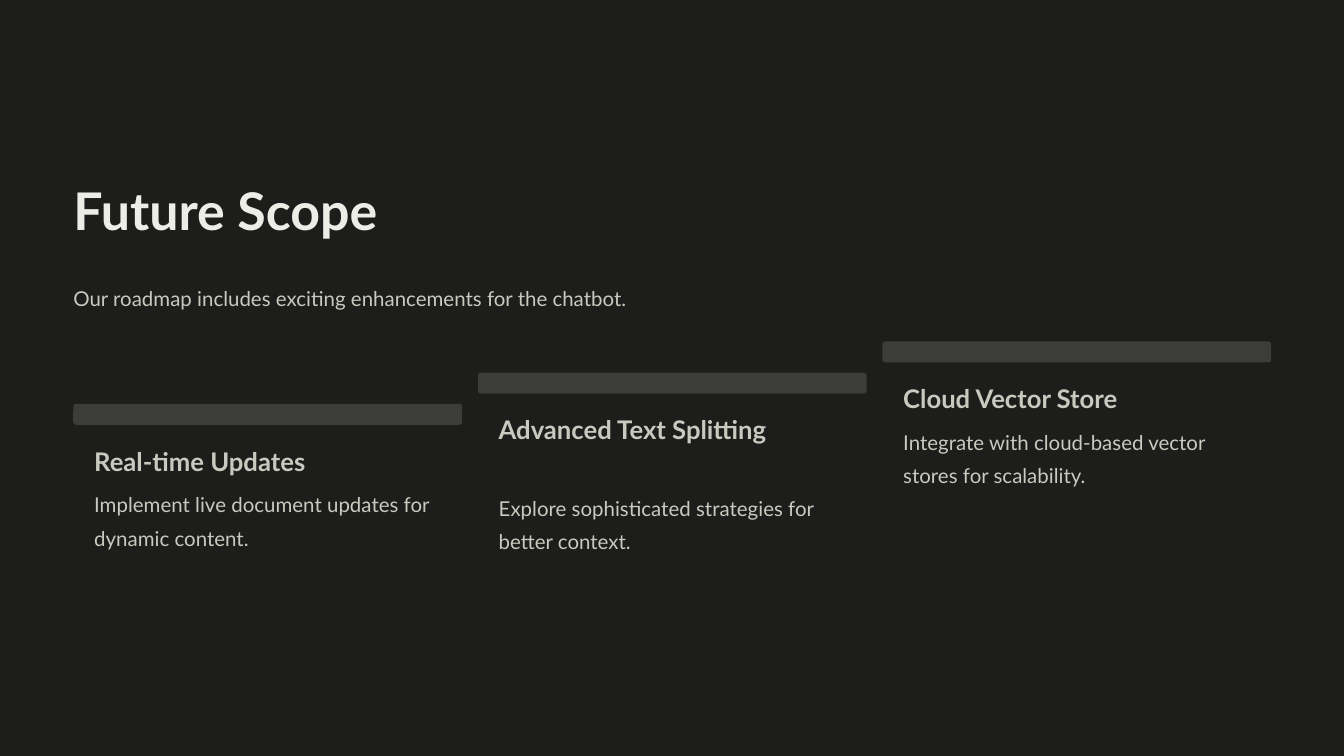
from pptx import Presentation
from pptx import util as u
from pptx.dml import color
from pptx.enum import shapes, text


def rgb(value):
    return color.RGBColor.from_string(value)


def add_text(slide, words, left, top, width, height, size, spacing, hue="C9C9C0", bold=False):
    box = slide.shapes.add_textbox(u.Cm(left), u.Cm(top), u.Cm(width), u.Cm(height))
    frame = box.text_frame
    frame.word_wrap = True
    frame.auto_size = text.MSO_AUTO_SIZE.SHAPE_TO_FIT_TEXT
    frame.margin_left = frame.margin_right = frame.margin_top = frame.margin_bottom = 0
    frame.text = words
    paragraph = frame.paragraphs[0]
    paragraph.line_spacing = u.Pt(spacing)
    font = paragraph.runs[0].font
    font.name = "Lato"
    font.size = u.Pt(size)
    font.bold = bold
    font.color.rgb = rgb(hue)


presentation = Presentation()
presentation.slide_width = u.Cm(50.8)
presentation.slide_height = u.Cm(28.58)
slide = presentation.slides.add_slide(presentation.slide_layouts[6])

# Dark background
slide.background.fill.solid()
slide.background.fill.fore_color.rgb = rgb("1D1D1B")

# Title and introduction
margin = 2.77
add_text(slide, "Future Scope", margin, 6.65, 19.69, 2.54, 55.6, 69.4, "EDEDE8", True)
add_text(slide, "Our roadmap includes exciting enhancements for the chatbot.",
         margin, 10.49, 45.29, 1.52, 21.9, 35.6)

# Rising steps: heading, heading width, body, body offset below the bar's top
steps = [
    ("Real-time Updates", 9.86,
     "Implement live document updates for dynamic content.", 3.02),
    ("Advanced Text Splitting", 11.73,
     "Explore sophisticated strategies for better context.", 4.34),
    ("Cloud Vector Store", 9.86,
     "Integrate with cloud-based vector stores for scalability.", 3.02),
]
bar_width, bar_height, gap, rise, indent = 14.7, 0.79, 0.59, 1.18, 0.79

for index, (heading, heading_width, body, body_offset) in enumerate(steps):
    left = margin + index * (bar_width + gap)
    top = 15.27 - index * rise

    bar = slide.shapes.add_shape(shapes.MSO_SHAPE.ROUNDED_RECTANGLE,
                                 u.Cm(left), u.Cm(top), u.Cm(bar_width), u.Cm(bar_height))
    bar.adjustments[0] = 0.14
    bar.shadow.inherit = False
    bar.fill.solid()
    bar.fill.fore_color.rgb = rgb("3C3C3A")
    bar.line.fill.background()

    add_text(slide, heading, left + indent, top + 1.52, heading_width, 1.3, 27.5, 34.4, bold=True)
    add_text(slide, body, left + indent, top + body_offset, 13.13, 2.79, 21.9, 35.6)

presentation.save("out.pptx")
